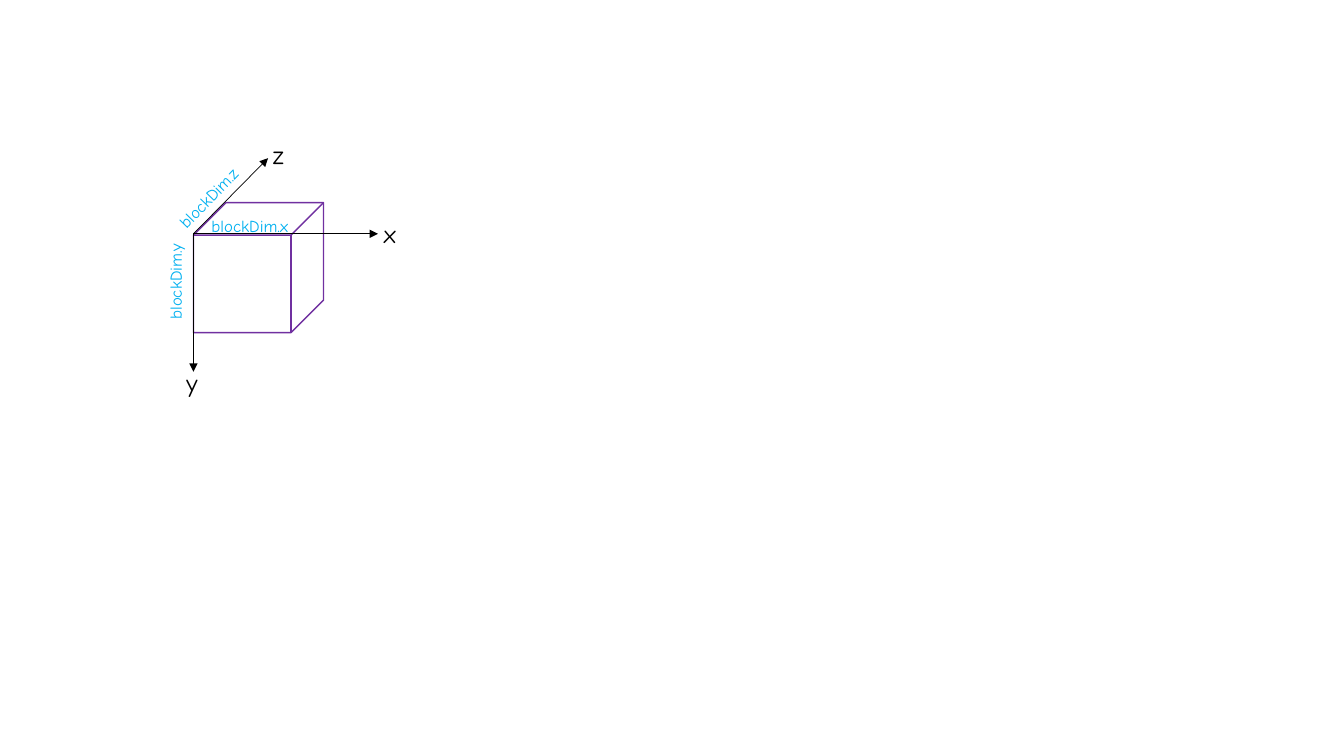
from dataclasses import dataclass

from lxml.etree import SubElement as Sub
from pptx import Presentation
from pptx.dml.color import RGBColor as RGB
from pptx.enum.shapes import MSO_CONNECTOR as LINK, MSO_SHAPE as SHAPE
from pptx.enum.text import MSO_AUTO_SIZE as AUTO
from pptx.oxml.ns import qn
from pptx.util import Pt


@dataclass(frozen=True)
class Theme:
    font: str = "Comic Neue"
    edge: RGB = RGB(0x70, 0x30, 0xA0)
    axis: RGB = RGB(0, 0, 0)
    size: RGB = RGB(0x00, 0xB0, 0xF0)
    small: Pt = Pt(12)
    large: Pt = Pt(18)


theme = Theme()


def label(text, box, size, color, turn=0):
    """Add a one-line text box, turned clockwise by the given degrees."""
    area = slide.shapes.add_textbox(*map(Pt, box))
    area.rotation = turn
    frame = area.text_frame
    frame.word_wrap = True
    frame.auto_size = AUTO.SHAPE_TO_FIT_TEXT
    run = frame.paragraphs[0].add_run()
    run.text = text
    for key, value in {"name": theme.font, "size": size}.items():
        setattr(run.font, key, value)
    run.font.color.rgb = color
    return frame


deck = Presentation()
deck.slide_width, deck.slide_height = Pt(960), Pt(540)
slide = deck.slides.add_slide(deck.slide_layouts[6])

# Block of threads
left, top, side = 138.2, 144.7, 92.9
cube = slide.shapes.add_shape(SHAPE.CUBE, *map(Pt, (left, top, side, side)))
cube.shadow.inherit = False
cube.fill.background()
cube.line.color.rgb = theme.edge
cube.line.width = Pt(1)

# Axes from the front top left corner: reach, then the place of the name
start = (left, 167)
axes = {
    "x": ((131.8, 0), (267.1, 152.6)),
    "z": ((53.3, -54), (187.9, 95.8)),
    "y": ((0, 98.6), (126, 258.5)),
}
for name, (reach, spot) in axes.items():
    end = [a + b for a, b in zip(start, reach)]
    axis = slide.shapes.add_connector(LINK.STRAIGHT, *map(Pt, (*start, *end)))
    axis.line.color.rgb = theme.axis
    axis.line.width = Pt(0.5)
    Sub(axis.line._get_or_add_ln(), qn("a:tailEnd"), type="triangle")
    Sub(axis._element.spPr, qn("a:effectLst"))
    label(name, (*spot, 47.5, 29), theme.large, theme.axis)

# Block sizes along the axes
label("blockDim.x", (144, 150.5, 103, 21.8), theme.small, theme.size)
label("blockDim.z", (109.4, 118.1, 103, 21.8), theme.small, theme.size, 314)
tall = label("blockDim.y", (114.5, 162, 28.8, 73.4), theme.small, theme.size)
tall._txBody.bodyPr.set("vert", "vert270")

deck.save("out.pptx")
